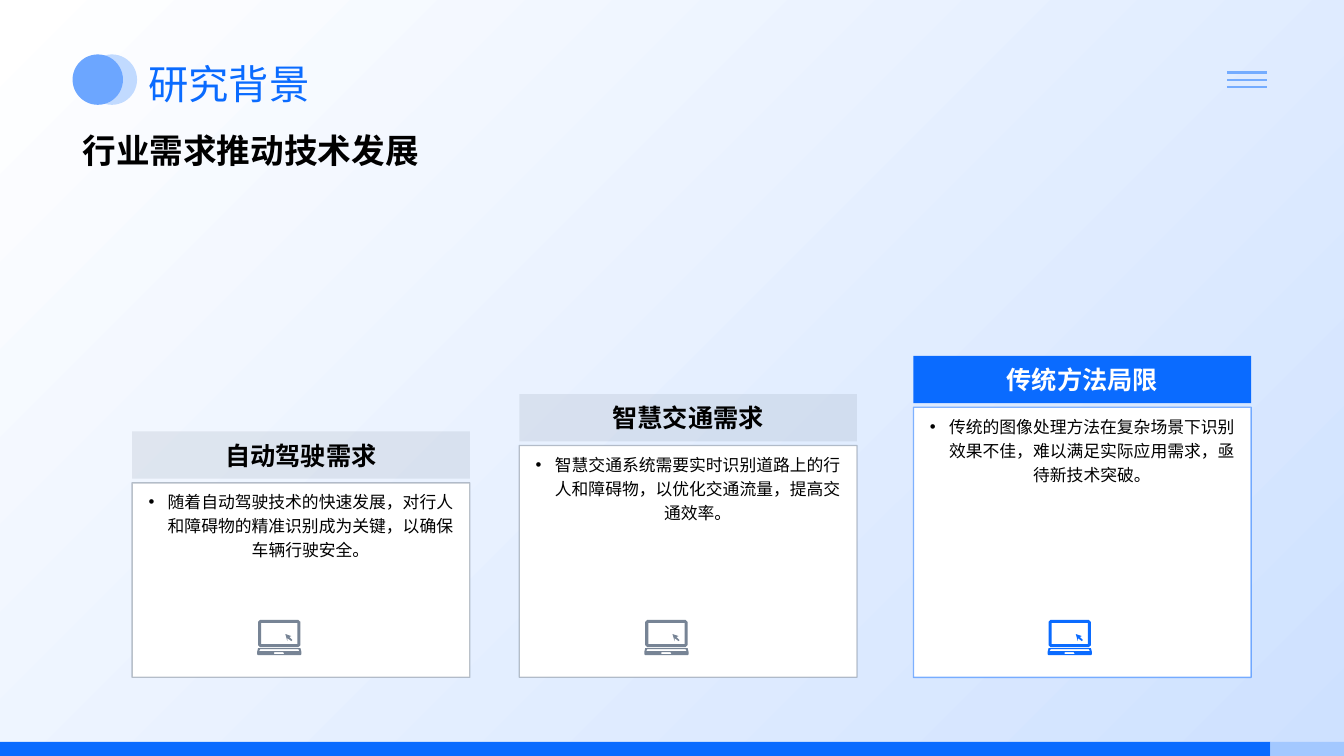
"""Builds the research background slide with three rising cards."""
import pptx
import pptx.dml.color
import pptx.enum.shapes
import pptx.enum.text
import pptx.oxml
import pptx.oxml.ns
import pptx.util
from pptx.util import Inches

TITLE = "研究背景"
HEADING = "行业需求推动技术发展"
CARDS = [
    {"head": "自动驾驶需求", "left": 1.31, "top": 4.28, "icon": 2.55, "main": False,
     "body": "随着自动驾驶技术的快速发展，对行人和障碍物的精准识别成为关键，以确保车辆行驶安全。"},
    {"head": "智慧交通需求", "left": 5.15, "top": 3.91, "icon": 6.39, "main": False,
     "body": "智慧交通系统需要实时识别道路上的行人和障碍物，以优化交通流量，提高交通效率。"},
    {"head": "传统方法局限", "left": 9.06, "top": 3.53, "icon": 10.39, "main": True,
     "body": "传统的图像处理方法在复杂场景下识别效果不佳，难以满足实际应用需求，亟待新技术突破。"},
]
COLORS = {"white": "FFFFFF", "black": "000000", "blue": "0A6BFF", "gray": "778495",
          "pale": "C1DAFF", "disc": "6CA6FF", "tail": "A3C8FF", "rule": "74ACFF", "end": "CEE1FF"}
DECOR = [
    ("OVAL", (0.86, 0.54, 0.5, 0.5), "pale"),
    ("OVAL", (0.72, 0.54, 0.5, 0.5), "disc"),
    ("RECTANGLE", (0, 7.36, 12.6, 0.14), "blue"),
    ("RECTANGLE", (12.6, 7.36, 0.73, 0.14), "tail"),
]
LAPTOP = [
    [(17, 32), (17, 34), (27, 34), (26, 32)],
    [(3, 29), (2, 31), (42, 31), (41, 29)],
    [(2, 28), (42, 28), (43, 28), (44, 32), (44, 34), (43, 35), (1, 35), (0, 34), (0, 32), (1, 28)],
    [(28, 14), (34, 16), (32, 17), (35, 20), (34, 21), (30, 18), (30, 21)],
    [(4, 3), (4, 24), (40, 24), (40, 3)],
    [(3, 0), (41, 0), (43, 2), (43, 25), (41, 27), (3, 27), (1, 25), (1, 2)],
]
WIDE, HEAD, STEP, BASE, ICON = 3.35, 0.47, 0.51, 6.72, 6.15
ALIGN = pptx.enum.text.PP_ALIGN
ANCHOR = pptx.enum.text.MSO_ANCHOR


def color(name):
    return pptx.dml.color.RGBColor.from_string(COLORS[name])


def add_tag(parent, tag, **attrs):
    node = pptx.oxml.parse_xml(f"<a:{tag} {pptx.oxml.ns.nsdecls('a')}/>")
    for key, value in attrs.items():
        node.set(key, str(value))
    parent.append(node)


def fade(fill, share):
    solid = fill._xPr.find(pptx.oxml.ns.qn("a:solidFill"))
    add_tag(solid[0], "alpha", val=share * 1000)


def paint(shape, name):
    shape.shadow.inherit = False
    shape.fill.solid()
    shape.fill.fore_color.rgb = color(name)
    shape.line.fill.background()


def add_box(shapes, kind, place, name):
    kind = getattr(pptx.enum.shapes.MSO_SHAPE, kind)
    shape = shapes.add_shape(kind, *map(Inches, place))
    paint(shape, name)
    return shape


def write(shape, text, size, name, bold=False, align=ALIGN.LEFT, anchor=ANCHOR.TOP):
    frame = shape.text_frame
    frame.text = text
    formats = {"word_wrap": True, "auto_size": pptx.enum.text.MSO_AUTO_SIZE.NONE,
               "vertical_anchor": anchor}
    for key, value in formats.items():
        setattr(frame, key, value)
    para = frame.paragraphs[0]
    para.alignment = align
    font = para.runs[0].font
    formats = {"name": "Open Sans", "size": pptx.util.Pt(size), "bold": bold}
    for key, value in formats.items():
        setattr(font, key, value)
    font.color.rgb = color(name)
    return para


def add_icon(shapes, left, name):
    pen = shapes.build_freeform(*LAPTOP[0][0], scale=Inches(0.01))
    for ring in LAPTOP:
        pen.move_to(*ring[0])
        pen.add_line_segments(ring[1:], close=True)
    paint(pen.convert_to_shape(Inches(left), Inches(ICON)), name)


def add_card(shapes, card):
    left, top, main = card["left"], card["top"], card["main"]
    tone = "blue" if main else "gray"
    body = add_box(shapes, "RECTANGLE", (left, top + STEP, WIDE, BASE - top - STEP), "white")
    body.line.color.rgb = color(tone)
    body.line.width = pptx.util.Pt(1)
    fade(body.line.fill, 50)
    para = write(body, card["body"], 12, "black", align=ALIGN.CENTER)
    para.line_spacing = 1.2
    props = para._p.get_or_add_pPr()
    props.set("marL", str(Inches(0.19)))
    props.set("indent", str(Inches(-0.19)))
    add_tag(props, "buFont", typeface="Arial")
    add_tag(props, "buChar", char="•")
    head = add_box(shapes, "RECTANGLE", (left, top, WIDE, HEAD), tone)
    if not main:
        fade(head.fill, 15)
    write(head, card["head"], 18, "white" if main else "black", True, ALIGN.CENTER, ANCHOR.MIDDLE)
    add_icon(shapes, card["icon"], tone)


def main():
    deck = pptx.Presentation()
    deck.slide_width, deck.slide_height = Inches(13.33), Inches(7.5)
    slide = deck.slides.add_slide(deck.slide_layouts[5])
    shapes = slide.shapes

    back = slide.background.fill
    back.gradient()
    back.gradient_angle = 315
    for stop, name in zip(back.gradient_stops, ("white", "end")):
        stop.color.rgb = color(name)
    for kind, place, name in DECOR:
        add_box(shapes, kind, place, name)
    for row in range(3):
        y = Inches(0.72 + 0.07 * row)
        rule = shapes.add_connector(pptx.enum.shapes.MSO_CONNECTOR.STRAIGHT,
                                    Inches(12.17), y, Inches(12.57), y)
        rule.line.color.rgb = color("rule")
        rule.line.width = pptx.util.Pt(1.5)
        add_tag(rule._element.spPr, "effectLst")

    title = shapes.title
    place = {"left": 1.37, "top": 0.14, "width": 11.23, "height": 0.98}
    for key, value in place.items():
        setattr(title, key, Inches(value))
    write(title, TITLE, 28.8, "blue", anchor=ANCHOR.BOTTOM)
    for card in CARDS:
        add_card(shapes, card)
    note = shapes.add_textbox(*map(Inches, (0.72, 1.24, 11.89, 1.08)))
    write(note, HEADING, 24, "black", True)
    deck.save("out.pptx")


if __name__ == "__main__":
    main()
